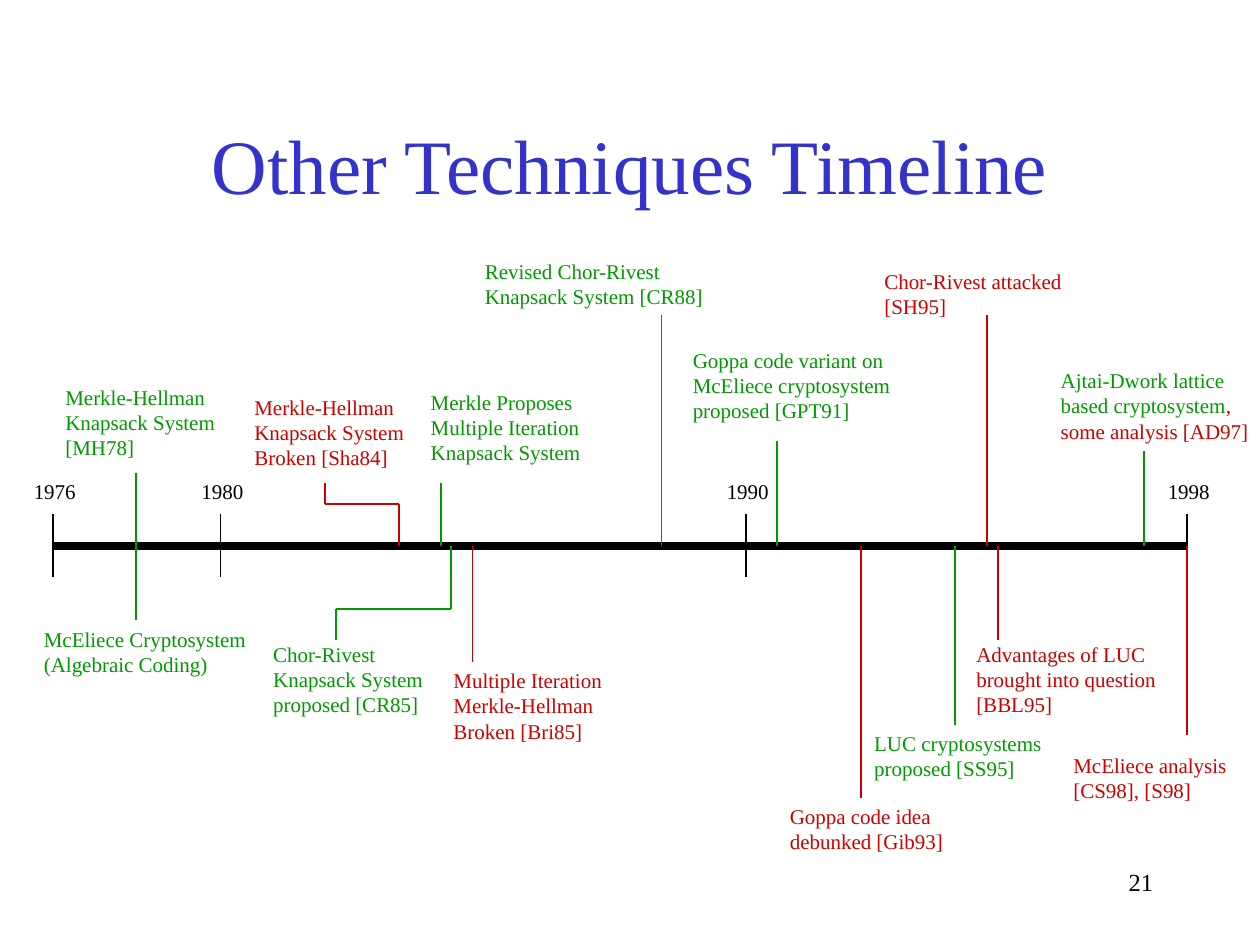
import itertools

import pptx
import pptx.dml.color
import pptx.enum.shapes
import pptx.enum.text
import pptx.oxml.ns
import pptx.util
from lxml import etree

Inches = pptx.util.Inches
ALIGN = pptx.enum.text.PP_ALIGN
ANCHOR = pptx.enum.text.MSO_ANCHOR

THEME = {
    "font": "Times New Roman",
    "title": "3333CC",
    "black": "000000",
    "proposed": "009900",
    "broken": "CC0000",
    "title_size": 44,
    "number_size": 14,
    "label_size": 12,
    "axis_width": 4.5,
    "line_width": 1.1,
}

# Content: positions in inches
TITLE = "Other Techniques Timeline"
SLIDE_NUMBER = "21"
AXIS_Y = 4.33
YEARS = [("1976", 0.42), ("1980", 1.75), ("1990", 5.92), ("1998", 9.42)]

# (colour, label left, label top, label width, label lines, leader points)
# A label line is a string, or a list of (text, colour) pieces.
EVENTS = [
    ("proposed", 0.42, 3, 1.39, ["Merkle-Hellman", "Knapsack System", "[MH78]"],
     [(1.08, 3.75), (1.08, AXIS_Y)]),
    ("proposed", 0.25, 4.92, 1.8, ["McEliece Cryptosystem", "(Algebraic Coding)"],
     [(1.08, AXIS_Y), (1.08, 4.92)]),
    ("proposed", 3.32, 3.04, 1.39,
     ["Merkle Proposes", "Multiple Iteration", "Knapsack System"],
     [(3.5, AXIS_Y), (3.5, 3.83)]),
    ("proposed", 2.07, 5.04, 1.39, ["Chor-Rivest", "Knapsack System", "proposed [CR85]"],
     [(3.58, AXIS_Y), (3.58, 4.83), (2.67, 4.83), (2.67, 5.08)]),
    ("proposed", 3.75, 2, 1.93, ["Revised Chor-Rivest", "Knapsack System [CR88]"],
     [(5.25, AXIS_Y), (5.25, 2.5)]),
    ("proposed", 6.84, 5.75, 1.53, ["LUC cryptosystems", "proposed [SS95]"],
     [(7.58, AXIS_Y), (7.58, 5.75)]),
    ("proposed", 8.32, 2.87, 1.69,
     ["Ajtai-Dwork lattice",
      [("based cryptosystem", "proposed"), (",", "broken")],
      [("some analysis [AD97]", "broken")]],
     [(9.08, AXIS_Y), (9.08, 3.58)]),
    ("proposed", 5.4, 2.71, 1.77,
     ["Goppa code variant on", "McEliece cryptosystem", "proposed [GPT91]"],
     [(6.17, AXIS_Y), (6.17, 3.5)]),
    ("broken", 1.92, 3.08, 1.39, ["Merkle-Hellman", "Knapsack System", "Broken [Sha84]"],
     [(3.17, AXIS_Y), (3.17, 4), (2.58, 4), (2.58, 3.83)]),
    ("broken", 3.5, 5.25, 1.38, ["Multiple Iteration", "Merkle-Hellman", "Broken [Bri85]"],
     [(3.75, AXIS_Y), (3.75, 5.25)]),
    ("broken", 6.92, 2.08, 1.61, ["Chor-Rivest attacked", "[SH95]"],
     [(7.83, AXIS_Y), (7.83, 2.5)]),
    ("broken", 7.65, 5.04, 1.62, ["Advantages of LUC", "brought into question", "[BBL95]"],
     [(7.92, AXIS_Y), (7.92, 5.08)]),
    ("broken", 6.17, 6.33, 1.41, ["Goppa code idea", "debunked [Gib93]"],
     [(6.83, AXIS_Y), (6.83, 6.33)]),
    ("broken", 8.42, 5.92, 1.41, ["McEliece analysis", "[CS98], [S98]"],
     [(9.42, AXIS_Y), (9.42, 5.83)]),
]


def color(name):
    return pptx.dml.color.RGBColor.from_string(THEME[name])


def add_text(page, left, top, width, height, lines, color_name, size_name,
             align=ALIGN.LEFT, anchor=ANCHOR.TOP):
    box = page.shapes.add_textbox(*map(Inches, (left, top, width, height)))
    frame = box.text_frame
    frame.word_wrap = True
    frame.vertical_anchor = anchor
    for index, line in enumerate(lines):
        para = frame.add_paragraph() if index else frame.paragraphs[0]
        para.alignment = align
        pieces = [(line, color_name)] if isinstance(line, str) else line
        for text, piece_color in pieces:
            span = para.add_run()
            span.text = text
            span.font.name = THEME["font"]
            span.font.size = pptx.util.Pt(THEME[size_name])
            span.font.color.rgb = color(piece_color)
    return frame


def add_label(page, left, top, width, lines, color_name):
    height = 0.3 + 0.2 * (len(lines) - 1)
    frame = add_text(page, left, top, width, height, lines, color_name, "label_size")
    frame.margin_right = 0  # spare room keeps each line whole


def add_line(page, start, end, color_name, width_name="line_width"):
    line = page.shapes.add_connector(
        pptx.enum.shapes.MSO_CONNECTOR.STRAIGHT, *map(Inches, (*start, *end)))
    line.line.color.rgb = color(color_name)
    line.line.width = pptx.util.Pt(THEME[width_name])
    properties = line._element.find(pptx.oxml.ns.qn("p:spPr"))
    etree.SubElement(properties, pptx.oxml.ns.qn("a:effectLst"))


def main():
    deck = pptx.Presentation()
    deck.slide_width, deck.slide_height = Inches(10), Inches(7.5)
    page = deck.slides.add_slide(deck.slide_layouts[6])

    # Title
    add_text(page, 0.75, 0.67, 8.5, 1.25, [TITLE], "title", "title_size",
             ALIGN.CENTER, ANCHOR.MIDDLE)

    # Axis with year ticks
    add_line(page, (YEARS[0][1], AXIS_Y), (YEARS[-1][1], AXIS_Y), "black", "axis_width")
    for year, x in YEARS:
        add_line(page, (x, AXIS_Y - 0.25), (x, AXIS_Y + 0.25), "black")
        add_label(page, x - 0.25, 3.75, 0.53, [year], "black")

    # Events with their leaders
    for color_name, left, top, width, lines, points in EVENTS:
        for start, end in itertools.pairwise(points):
            add_line(page, start, end, color_name)
        add_label(page, left, top, width, lines, color_name)

    # Slide number
    add_text(page, 7.17, 6.83, 2.08, 0.5, [SLIDE_NUMBER], "black", "number_size", ALIGN.RIGHT)

    deck.save("out.pptx")


if __name__ == "__main__":
    main()
